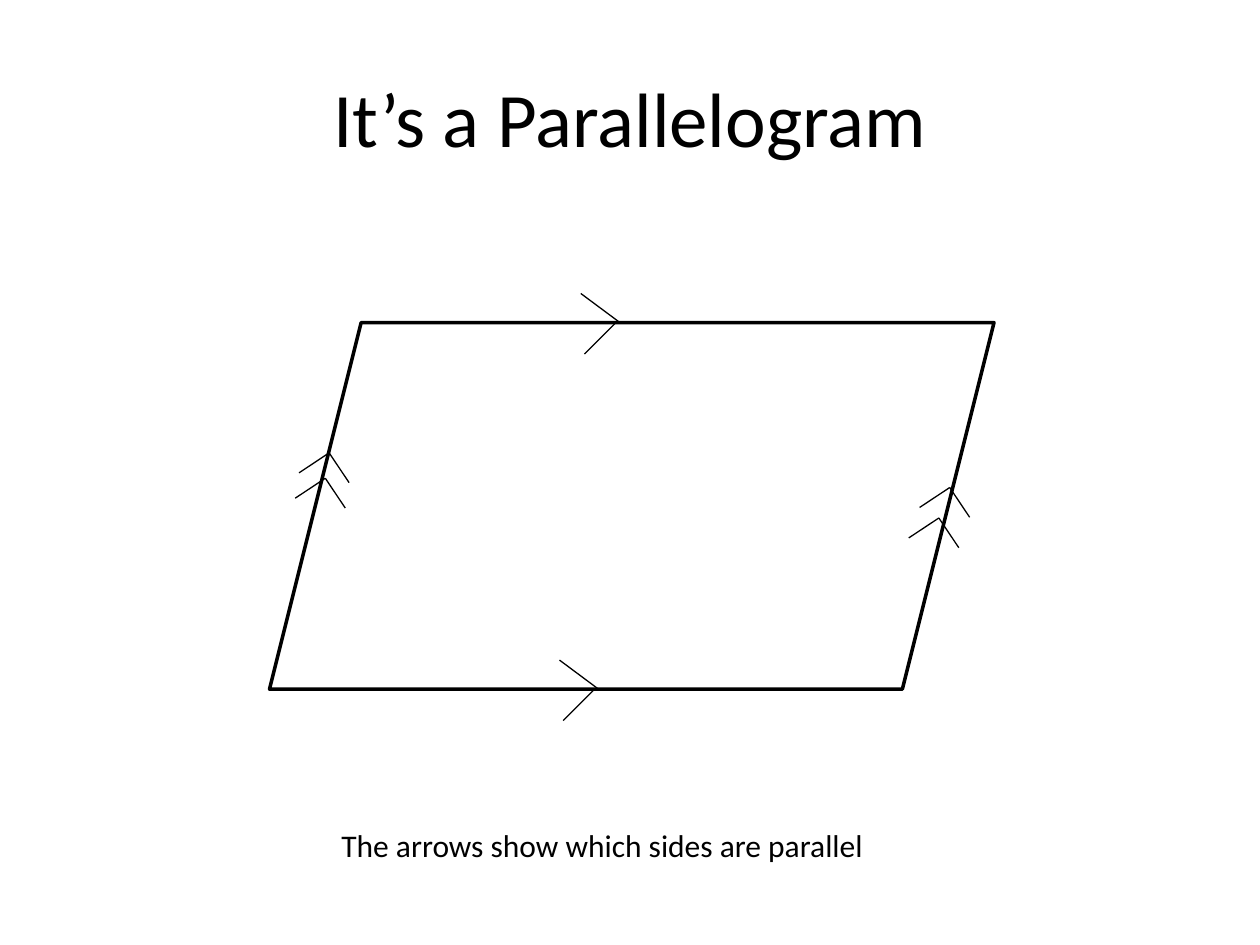
from dataclasses import dataclass

from lxml.etree import SubElement
from pptx import Presentation
from pptx.dml.color import RGBColor
from pptx.enum.shapes import MSO_CONNECTOR as Connector, MSO_SHAPE as Shape
from pptx.enum.text import MSO_ANCHOR as Anchor, PP_ALIGN as Align
from pptx.oxml.ns import qn
from pptx.slide import Slide
from pptx.util import Pt


@dataclass(frozen=True)
class Theme:
    ink: RGBColor = RGBColor(0, 0, 0)
    paper: RGBColor = RGBColor(255, 255, 255)
    font: str = "Calibri"
    title_size: float = 44
    caption_size: float = 18
    outline_width: float = 2
    mark_width: float = 0.75


@dataclass(frozen=True)
class Label:
    text: str
    bounds: tuple[float, float, float, float]
    size: float
    align: Align
    anchor: Anchor


@dataclass(frozen=True)
class Arm:
    start: tuple[float, float]
    end: tuple[float, float] = (0, 0)


@dataclass(frozen=True)
class Mark:
    tip: tuple[float, float]
    arms: tuple[Arm, Arm]


THEME = Theme()
RIGHTWARD = (Arm((-22.3, -16.6)), Arm((-2.2, 0), (-20.2, 18)))
UPWARD = (Arm((-17.2, 11.4)), Arm((11.4, 17)))

PARALLELOGRAM = (154, 184.3, 414, 209.5)
MARKS = (
    Mark((354.2, 184.3), RIGHTWARD),
    Mark((342, 393.8), RIGHTWARD),
    Mark((536.5, 296), UPWARD),
    Mark((542.7, 278.6), UPWARD),
    Mark((185.9, 273.3), UPWARD),
    Mark((188.1, 258.8), UPWARD),
)
LABELS = (
    Label("It’s a Parallelogram", (36, 21.6, 648, 90),
          THEME.title_size, Align.CENTER, Anchor.MIDDLE),
    Label("The arrows show which sides are parallel", (188, 468.7, 340, 29),
          THEME.caption_size, Align.LEFT, Anchor.TOP),
)


def draw_label(page: Slide, label: Label) -> None:
    box = page.shapes.add_textbox(*map(Pt, label.bounds))
    frame = box.text_frame
    frame.word_wrap = True
    frame.vertical_anchor = label.anchor
    para = frame.paragraphs[0]
    para.alignment = label.align
    span = para.add_run()
    span.text = label.text
    formats = {"name": THEME.font, "size": Pt(label.size)}
    for name, value in formats.items():
        setattr(span.font, name, value)
    span.font.color.rgb = THEME.ink


def draw_parallelogram(page: Slide) -> None:
    figure = page.shapes.add_shape(Shape.PARALLELOGRAM, *map(Pt, PARALLELOGRAM))
    figure.shadow.inherit = False
    figure.fill.solid()
    figure.fill.fore_color.rgb = THEME.paper
    figure.line.color.rgb = THEME.ink
    figure.line.width = Pt(THEME.outline_width)


def draw_mark(page: Slide, mark: Mark) -> None:
    x, y = mark.tip
    for arm in mark.arms:
        ends = (x + arm.start[0], y + arm.start[1], x + arm.end[0], y + arm.end[1])
        stroke = page.shapes.add_connector(Connector.STRAIGHT, *map(Pt, ends))
        stroke.line.color.rgb = THEME.ink
        stroke.line.width = Pt(THEME.mark_width)
        SubElement(stroke._element.spPr, qn("a:effectLst"))


def main() -> None:
    deck = Presentation()
    deck.slide_width, deck.slide_height = Pt(720), Pt(540)
    page = deck.slides.add_slide(deck.slide_layouts[6])
    draw_parallelogram(page)
    for mark in MARKS:
        draw_mark(page, mark)
    for label in LABELS:
        draw_label(page, label)
    deck.save("out.pptx")


if __name__ == "__main__":
    main()
